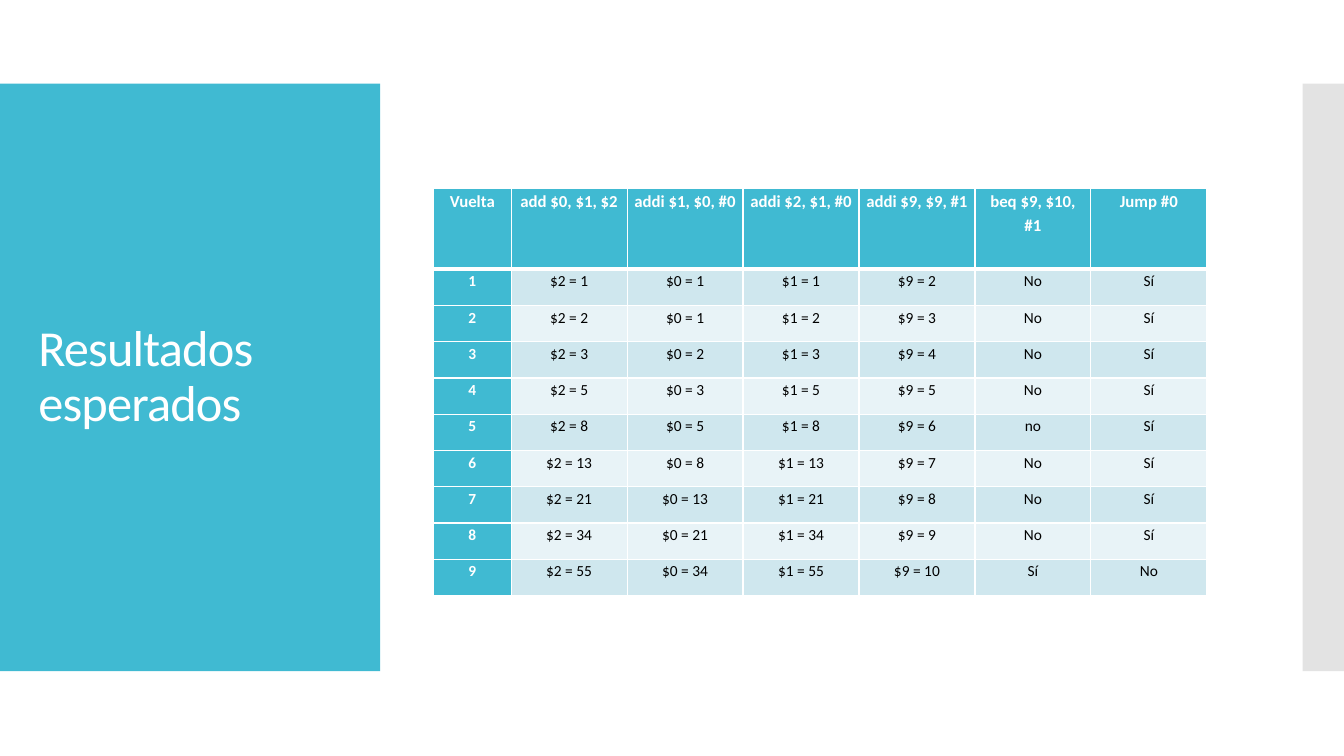
from lxml.etree import SubElement
from pptx import Presentation
from pptx.dml.color import RGBColor
from pptx.enum.shapes import MSO_SHAPE
from pptx.enum.text import MSO_ANCHOR, MSO_AUTO_SIZE, PP_ALIGN
from pptx.oxml.ns import qn
from pptx.util import Inches, Pt

COLORS = {
    "accent": "40BAD2",
    "side": "C8C8C8",
    "odd": "CFE7EE",
    "even": "E8F3F7",
    "white": "FFFFFF",
    "black": "000000",
}

HEADERS = ["Vuelta", "add $0, $1, $2", "addi $1, $0, #0", "addi $2, $1, #0",
           "addi $9, $9, #1", "beq $9, $10, #1", "Jump #0"]
# Per loop: $2 (then copied to $1), $0, $9, branch taken, jump taken
LOOPS = [
    (1, 1, 2, "No", "Sí"),
    (2, 1, 3, "No", "Sí"),
    (3, 2, 4, "No", "Sí"),
    (5, 3, 5, "No", "Sí"),
    (8, 5, 6, "no", "Sí"),
    (13, 8, 7, "No", "Sí"),
    (21, 13, 8, "No", "Sí"),
    (34, 21, 9, "No", "Sí"),
    (55, 34, 10, "Sí", "No"),
]


class SlideBuilder:
    font_name = "Calibri"

    def __init__(self, deck):
        self.page = deck.slides.add_slide(deck.slide_layouts[5])

    def color(self, name):
        return RGBColor.from_string(COLORS[name])

    def style(self, para, size, color, bold=False):
        font = para.font
        font.name, font.size, font.bold = self.font_name, Pt(size), bold
        font.color.rgb = self.color(color)

    def panel(self, left, width, color, opacity=100):
        box = self.page.shapes.add_shape(
            MSO_SHAPE.RECTANGLE, Inches(left), Inches(0.83), Inches(width), Inches(5.83))
        box.shadow.inherit = False
        box.fill.solid()
        box.fill.fore_color.rgb = self.color(color)
        box.line.fill.background()
        if opacity < 100:
            fill_color = box._element.spPr.find(qn("a:solidFill"))[0]
            SubElement(fill_color, qn("a:alpha"), val=str(opacity * 1000))

    def title(self, text):
        box = self.page.shapes.title
        box.left, box.top = Inches(0.28), Inches(1.23)
        box.width, box.height = Inches(3.22), Inches(5.03)
        self.page.shapes._spTree.append(box._element)  # in front of the panels
        frame = box.text_frame
        frame.text = text
        frame.word_wrap = True
        frame.auto_size = MSO_AUTO_SIZE.NONE
        frame.vertical_anchor = MSO_ANCHOR.MIDDLE
        para = frame.paragraphs[0]
        para.alignment = PP_ALIGN.LEFT
        para.line_spacing = 0.9
        self.style(para, 36, "white")
        para.font._element.set("spc", "-60")

    def border(self, cell, side, points):
        line = SubElement(cell._tc.get_or_add_tcPr(), qn(f"a:ln{side}"), w=str(Pt(points)))
        fill = SubElement(line, qn("a:solidFill"))
        SubElement(fill, qn("a:srgbClr"), val=COLORS["white"])

    def cell(self, cell, text, row, column):
        cell.margin_left = cell.margin_right = Inches(0.07)
        cell.margin_top = cell.margin_bottom = 0
        thick_side = {0: "B", 1: "T"}.get(row)
        for side in "LRTB":
            self.border(cell, side, 3 if side == thick_side else 1)

        heading = row == 0 or column == 0
        cell.fill.solid()
        cell.fill.fore_color.rgb = self.color(
            "accent" if heading else "odd" if row % 2 else "even")

        cell.text = text
        para = cell.text_frame.paragraphs[0]
        para.alignment = PP_ALIGN.CENTER
        para.line_spacing = 1.15
        para.space_after = Pt(10)
        self.style(para, 11 if row else 12, "white" if heading else "black", heading)

    def table(self, rows, left, top, widths, heights):
        table = self.page.shapes.add_table(
            len(rows), len(widths), Inches(left), Inches(top),
            Inches(sum(widths)), Inches(sum(heights))).table
        table.first_col = True
        for column, width in zip(table.columns, widths):
            column.width = Inches(width)
        for row, height in zip(table.rows, heights):
            row.height = Inches(height)
        for r, texts in enumerate(rows):
            for c, text in enumerate(texts):
                self.cell(table.cell(r, c), text, r, c)


def main():
    deck = Presentation()
    deck.slide_width, deck.slide_height = Inches(13.33), Inches(7.5)
    slide = SlideBuilder(deck)

    # Side panels and title
    slide.panel(0, 3.77, "accent")
    slide.panel(12.92, 0.41, "side", opacity=50)
    slide.title("Resultados esperados")

    # Table of expected results
    rows = [HEADERS]
    for turn, (total, previous, counter, branch, jump) in enumerate(LOOPS, 1):
        rows.append([str(turn), f"$2 = {total}", f"$0 = {previous}", f"$1 = {total}",
                     f"$9 = {counter}", branch, jump])
    slide.table(rows, 4.3, 1.87, [0.77] + [1.15] * 6, [0.8] + [0.36] * len(LOOPS))

    deck.save("out.pptx")


if __name__ == "__main__":
    main()
